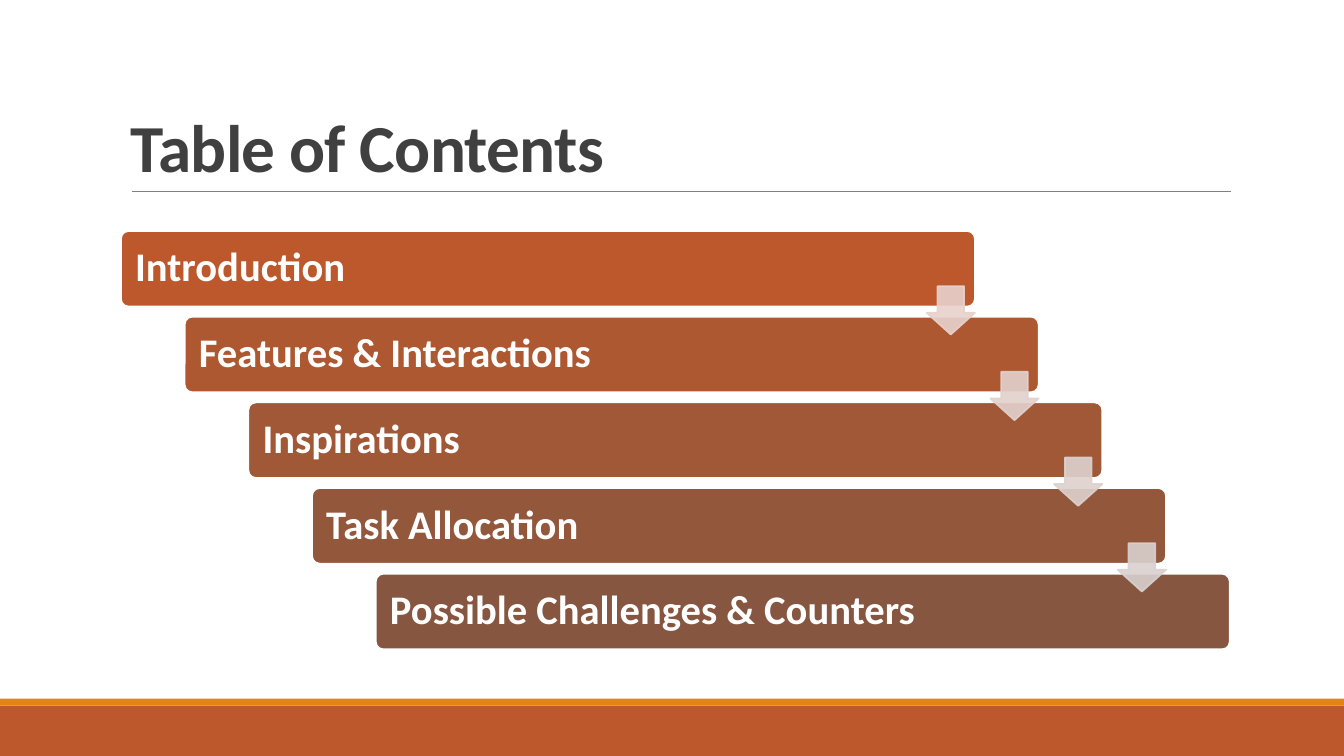
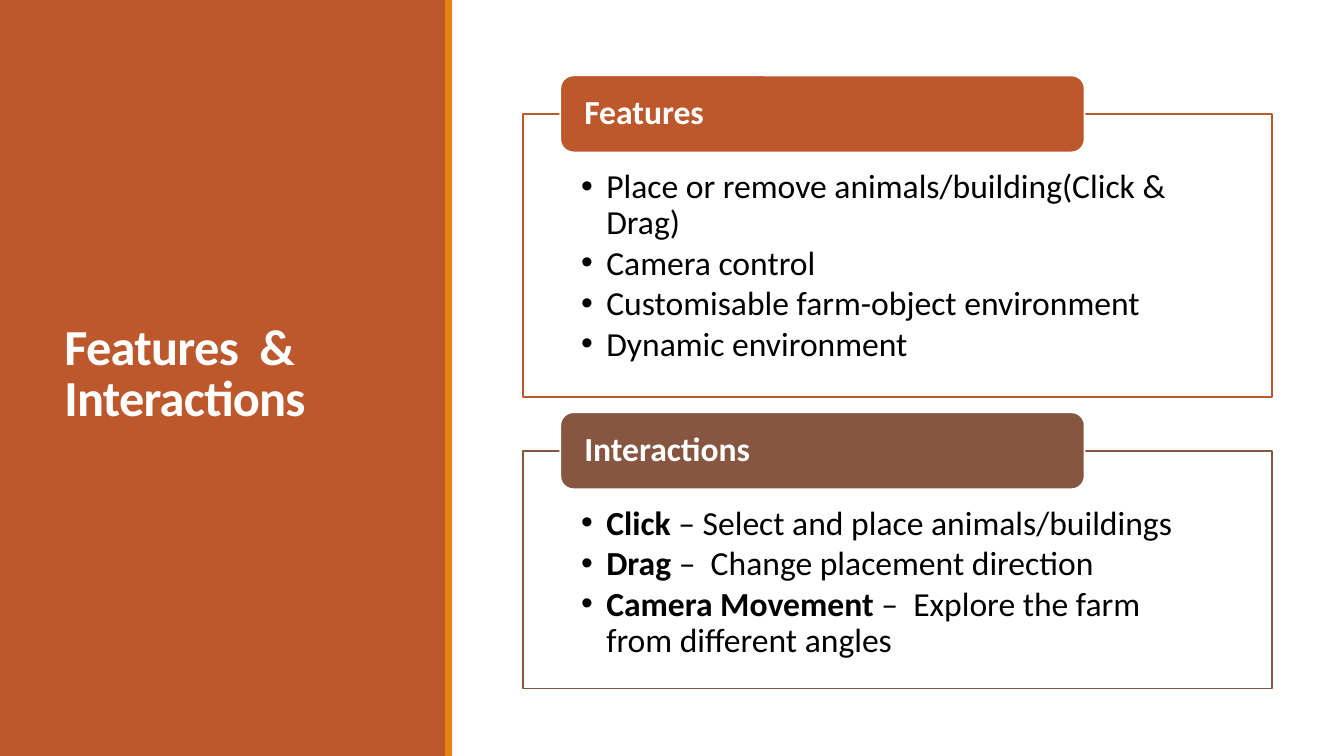
from pptx import Presentation
from pptx.dml.color import RGBColor
from pptx.enum.shapes import MSO_CONNECTOR, MSO_SHAPE
from pptx.enum.text import MSO_ANCHOR, PP_ALIGN
from pptx.oxml.ns import qn
from pptx.util import Pt
from lxml.etree import SubElement

SLIDE_W, SLIDE_H = 960, 540
RUST, BROWN, ORANGE, WHITE = "BD582C", "865640", "E48312", "FFFFFF"
DARK, GREY, BLACK = "404040", "808080", "000000"
OUTLINE = 1.25

TITLE_FONT = {"bold": True}
STEP_FONT = {"size": Pt(29), "bold": True}
HEADING_FONT = {"size": Pt(24), "bold": True}
BULLET_FONT = {"size": Pt(24)}

CONTENTS = [
    ("Introduction", RUST, "E8D1CD"),
    ("Features & Interactions", "AE5832", "E3D1CD"),
    ("Inspirations", "A05837", "DED1CE"),
    ("Task Allocation", "93573C", "D9D1CF"),
    ("Possible Challenges & Counters", BROWN, None),
]
PANELS = [
    ("Features", RUST, 81.4, 202.3, [
        ("", "Place or remove animals/building(Click & Drag)"),
        ("", "Camera control"),
        ("", "Customisable farm-object environment"),
        ("", "Dynamic environment"),
    ]),
    ("Interactions", BROWN, 322, 169.8, [
        ("Click ", "– Select and place animals/buildings"),
        ("Drag ", "–  Change placement direction"),
        ("Camera Movement", " –  Explore the farm from different angles"),
    ]),
]


def color(value):
    return RGBColor.from_string(value)


def add_box(slide, geometry, box, fill, outline=None, corners=()):
    shape = slide.shapes.add_shape(geometry, *map(Pt, box))
    shape.shadow.inherit = False
    shape.fill.solid()
    shape.fill.fore_color.rgb = color(fill)
    if outline:
        shape.line.color.rgb = color(outline)
        shape.line.width = Pt(OUTLINE)
    else:
        shape.line.fill.background()
    for index, corner in enumerate(corners):
        shape.adjustments[index] = corner
    return shape


def set_frame(shape, anchor, insets):
    frame = shape.text_frame
    sides = ("margin_left", "margin_top", "margin_right", "margin_bottom")
    settings = {"word_wrap": True, "vertical_anchor": anchor, **dict(zip(sides, map(Pt, insets)))}
    for name, value in settings.items():
        setattr(frame, name, value)
    return frame


def add_run(paragraph, text, ink, font):
    run = paragraph.add_run()
    run.text = text
    for name, value in {"name": "Calibri", **font}.items():
        setattr(run.font, name, value)
    run.font.color.rgb = color(ink)
    return run


def set_paragraph(paragraph, spacing, after=0):
    settings = {"alignment": PP_ALIGN.LEFT, "line_spacing": spacing, "space_after": Pt(after)}
    for name, value in settings.items():
        setattr(paragraph, name, value)
    return paragraph


def add_title(slide, text, box, size, ink, anchor):
    frame = set_frame(slide.shapes.add_textbox(*map(Pt, box)), anchor, (7.2, 3.6, 7.2, 3.6))
    paragraph = set_paragraph(frame.paragraphs[0], 0.85)
    run = add_run(paragraph, text, ink, {**TITLE_FONT, "size": Pt(size)})
    run.font._element.set("spc", "-50")


def add_label(slide, text, box, fill, font, inset, corner):
    label = add_box(slide, MSO_SHAPE.ROUNDED_RECTANGLE, box, fill, WHITE, [corner])
    frame = set_frame(label, MSO_ANCHOR.MIDDLE, (inset, 0, inset, 0))
    add_run(set_paragraph(frame.paragraphs[0], 0.9), text, WHITE, font)


def add_rule(slide, left, right, y):
    rule = slide.shapes.add_connector(MSO_CONNECTOR.STRAIGHT, Pt(left), Pt(y), Pt(right), Pt(y))
    rule.line.color.rgb = color(GREY)
    rule.line.width = Pt(0.5)
    SubElement(rule._element.spPr, qn("a:effectLst"))


def add_arrow(slide, left, top, size, fill):
    arrow = add_box(slide, MSO_SHAPE.DOWN_ARROW, (left, top, size, size), fill, fill, (0.55, 0.45))
    for tone in list(arrow._element.spPr.iter(qn("a:srgbClr"))):
        SubElement(tone, qn("a:alpha"), val="90000")


def add_bullet(paragraph, term, detail):
    set_paragraph(paragraph, 0.9, 3)
    properties = paragraph._p.get_or_add_pPr()
    properties.set("marL", str(Pt(18)))
    properties.set("indent", str(-Pt(18)))
    SubElement(properties, qn("a:buFont"), typeface="Arial")
    SubElement(properties, qn("a:buChar"), char="•")
    for text, bold in ((term, True), (detail, False)):
        if text:
            add_run(paragraph, text, BLACK, {**BULLET_FONT, "bold": bold})


def build_contents(slide):
    left, top, width, height = 86.4, 165, 610, 54
    shift, pitch, arrow_size, arrow_drop = 45.5, 61.2, 34.5, 39.4
    add_box(slide, MSO_SHAPE.RECTANGLE, (0, 504, SLIDE_W, 36), RUST)
    add_box(slide, MSO_SHAPE.RECTANGLE, (0, 499, SLIDE_W, 5), ORANGE)
    add_rule(slide, 94, 879, 136.8)
    add_title(slide, "Table of Contents", (86.4, 22.3, 792, 114.5), 48, DARK, MSO_ANCHOR.BOTTOM)
    for index, (text, fill, _) in enumerate(CONTENTS):
        box = (left + index * shift, top + index * pitch, width, height)
        add_label(slide, text, box, fill, STEP_FONT, 8.6, 0.1)
    for index, (_, _, fill) in enumerate(CONTENTS[:-1]):
        arrow_left = left + index * shift + width - arrow_size
        add_arrow(slide, arrow_left, top + index * pitch + arrow_drop, arrow_size, fill)


def build_features(slide):
    left, width, label_height = 373.5, 535, 55
    add_box(slide, MSO_SHAPE.RECTANGLE, (0, 0, 319, SLIDE_H), RUST)
    add_title(slide, "Features  & Interactions", (38.9, 41, 242.6, 454.3), 36, WHITE, MSO_ANCHOR.MIDDLE)
    add_box(slide, MSO_SHAPE.RECTANGLE, (318, 0, 5, SLIDE_H), ORANGE)
    for heading, accent, top, height, bullets in PANELS:
        panel = add_box(slide, MSO_SHAPE.RECTANGLE, (left, top, width, height), WHITE, accent)
        frame = set_frame(panel, MSO_ANCHOR.TOP, (41.6, 39.6, 41.6, 13.7))
        for index, (term, detail) in enumerate(bullets):
            add_bullet(frame.add_paragraph() if index else frame.paragraphs[0], term, detail)
        label_box = (left + width * 0.05, top - label_height / 2, width * 0.7, label_height)
        add_label(slide, heading, label_box, accent, HEADING_FONT, 14.4, 0.17)


def main():
    deck = Presentation()
    deck.slide_width, deck.slide_height = Pt(SLIDE_W), Pt(SLIDE_H)
    for build in (build_contents, build_features):
        build(deck.slides.add_slide(deck.slide_layouts[6]))
    deck.save("out.pptx")


if __name__ == "__main__":
    main()
